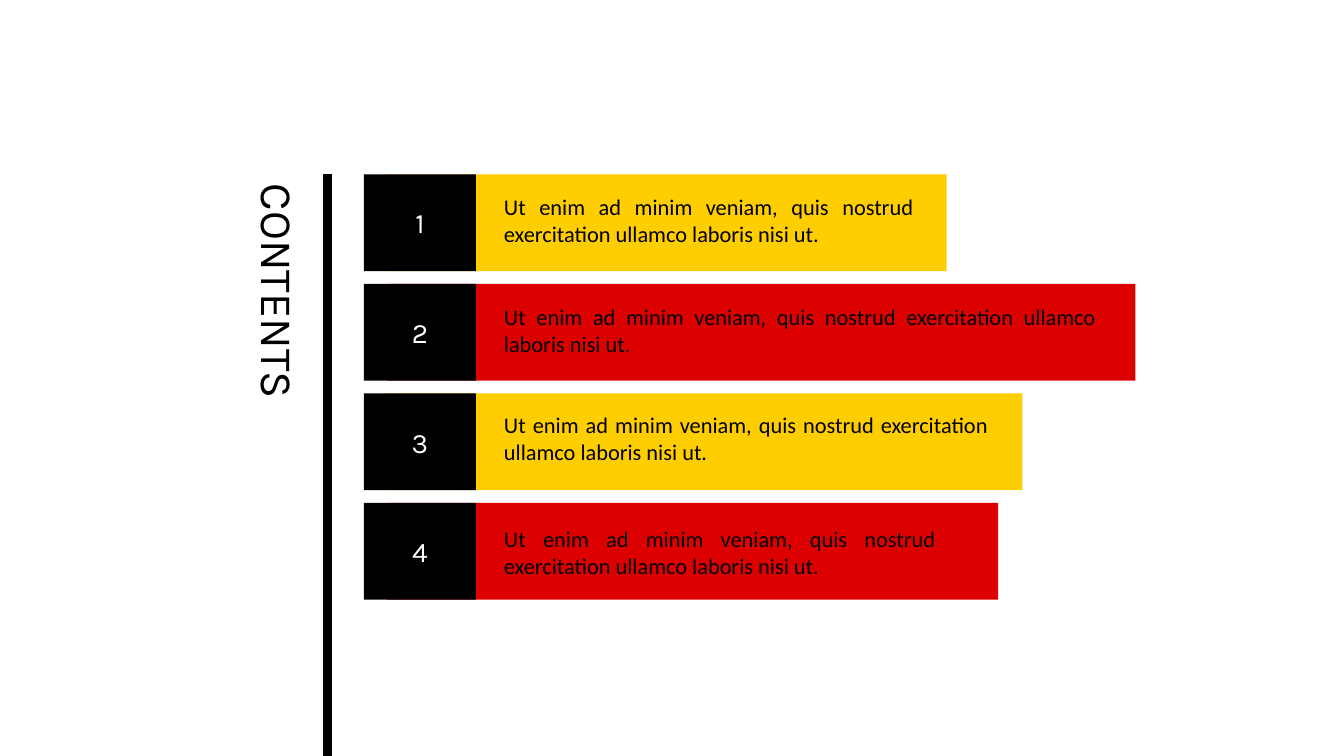
from lxml import etree
from pptx import Presentation
from pptx.dml.color import RGBColor
from pptx.enum.shapes import MSO_CONNECTOR as Connector, MSO_SHAPE as Shape
from pptx.enum.text import MSO_ANCHOR as Anchor, MSO_AUTO_SIZE as AutoSize, PP_ALIGN as Align
from pptx.oxml.ns import qn
from pptx.util import Inches, Pt

COLORS = {"black": "000000", "white": "FFFFFF", "yellow": "FFCE00", "red": "DD0000"}
ITEM_TEXT = "Ut enim ad minim veniam, quis nostrud exercitation ullamco laboris nisi ut."
ITEMS = [
    ("yellow", 9.39, 4.26, 0.14),
    ("red", 11.26, 6.07, 0.14),
    ("yellow", 10.14, 5, 0.13),
    ("red", 9.9, 4.48, 0.17),
]
ROWS_TOP = 1.73
ROW_PITCH = 3.26 / 3
ROW_HEIGHT = 0.96
BAR_LEFT = 3.84


def color(name):
    return RGBColor.from_string(COLORS[name])


def write_text(shape, text, font="Karla", size=20, fill="black", align=Align.CENTER,
               anchor=Anchor.TOP, wrap=True, after=0):
    frame = shape.text_frame
    frame.auto_size = AutoSize.NONE
    frame.word_wrap = wrap
    frame.vertical_anchor = anchor
    paragraph = frame.paragraphs[0]
    paragraph.text = text
    paragraph.alignment = align
    paragraph.line_spacing = 1.0
    paragraph.space_before = Pt(0)
    paragraph.space_after = Pt(after)
    paragraph.font.name = font
    paragraph.font.size = Pt(size)
    paragraph.font.color.rgb = color(fill)


def add_block(slide, left, top, width, fill):
    shape = slide.shapes.add_shape(Shape.RECTANGLE, Inches(left), Inches(top),
                                   Inches(width), Inches(ROW_HEIGHT))
    shape.shadow.inherit = False
    shape.fill.solid()
    shape.fill.fore_color.rgb = color(fill)
    shape.line.fill.background()
    return shape


def add_item(slide, number, fill, bar_right, text_width, text_offset):
    top = ROWS_TOP + (number - 1) * ROW_PITCH
    add_block(slide, BAR_LEFT, top, bar_right - BAR_LEFT, fill)
    badge = add_block(slide, 3.61, top, 1.11, "black")
    write_text(badge, str(number), fill="white", anchor=Anchor.MIDDLE)
    box = slide.shapes.add_textbox(Inches(4.9), Inches(top + text_offset),
                                   Inches(text_width), Inches(0.61))
    write_text(box, ITEM_TEXT, font="Calibri", size=16, align=Align.JUSTIFY, after=6)


def add_rule(slide):
    rule = slide.shapes.add_connector(Connector.STRAIGHT, Inches(3.25), Inches(ROWS_TOP),
                                      Inches(3.25), Inches(7.5))
    rule.line.color.rgb = color("black")
    rule.line.width = Pt(6)
    etree.SubElement(rule.element.spPr, qn("a:effectLst"))


def format_title(slide):
    title = slide.shapes.title
    title.left, title.top = Inches(1.56), Inches(2.57)
    title.width, title.height = Inches(2.42), Inches(0.64)
    title.rotation = 90
    write_text(title, "CONTENTS", size=32, wrap=False)


def main():
    presentation = Presentation()
    presentation.slide_width = Inches(13.33)
    presentation.slide_height = Inches(7.5)
    slide = presentation.slides.add_slide(presentation.slide_layouts[5])
    for number, item in enumerate(ITEMS, start=1):
        add_item(slide, number, *item)
    add_rule(slide)
    format_title(slide)
    presentation.save("out.pptx")


if __name__ == "__main__":
    main()
